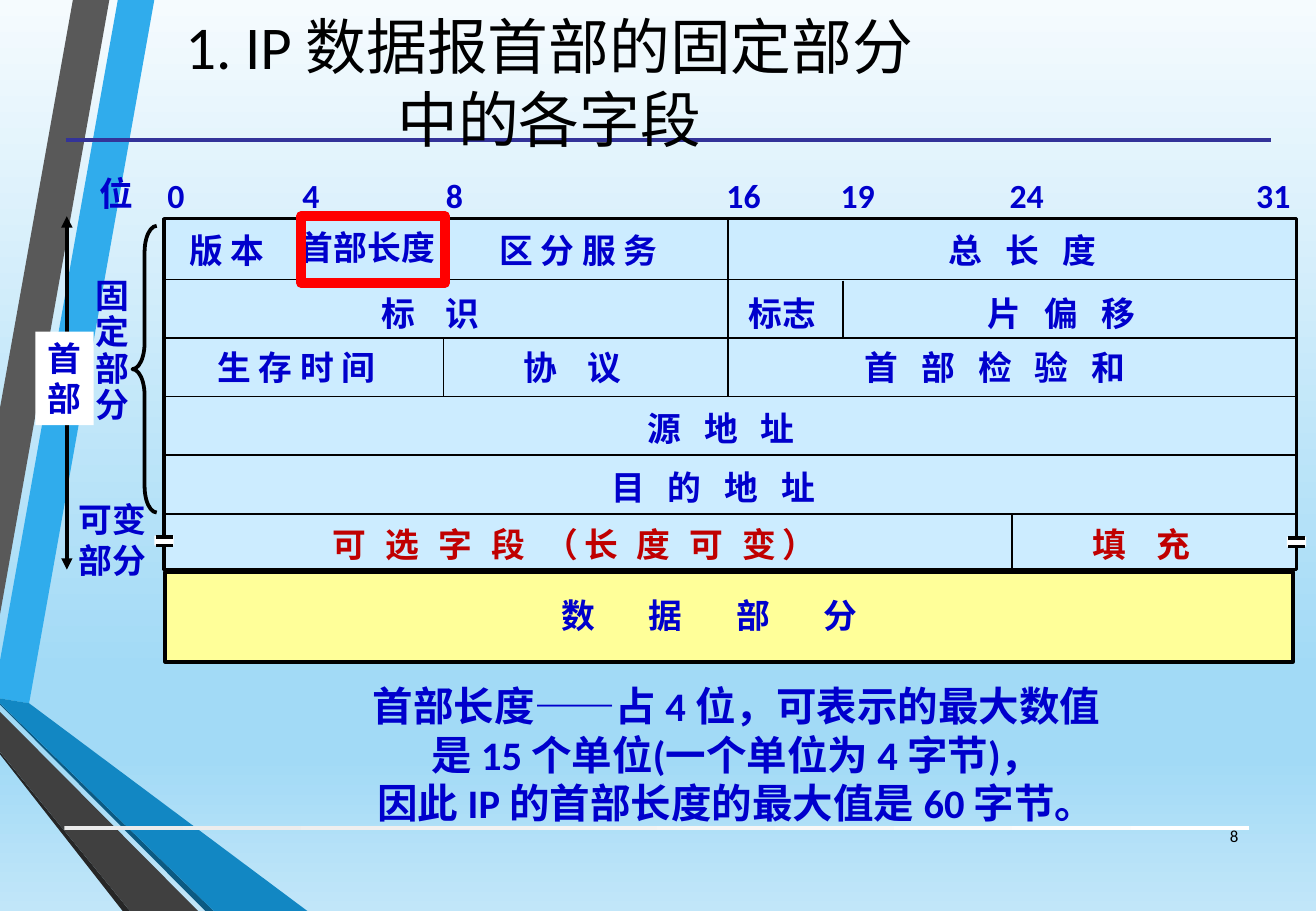
import pptx
import pptx.util
import pptx.oxml
import pptx.oxml.ns
import pptx.dml.color
import pptx.enum.shapes
import pptx.enum.text

RGBColor = pptx.dml.color.RGBColor
Inches = pptx.util.Inches
Pt = pptx.util.Pt
qn = pptx.oxml.ns.qn
SHAPE = pptx.enum.shapes.MSO_SHAPE
ALIGN = pptx.enum.text.PP_ALIGN
ANCHOR = pptx.enum.text.MSO_ANCHOR

BLACK = RGBColor(0x00, 0x00, 0x00)
WHITE = RGBColor(0xFF, 0xFF, 0xFF)
BLUE = RGBColor(0x00, 0x00, 0xCC)
CRIMSON = RGBColor(0xC0, 0x00, 0x00)
RED = RGBColor(0xFF, 0x00, 0x00)
NAVY = RGBColor(0x33, 0x33, 0x99)
PALE = RGBColor(0xCC, 0xEC, 0xFF)
YELLOW = RGBColor(0xFF, 0xFF, 0x99)

SKY = [(0, "F5FBFE"), (74, "A2DAF6"), (83, "A2DAF6"), (100, "C1E6F9")]
SILVER = [(0, "EBEBEB"), (100, "FFFFFF")]

RIBBONS = [
    (RGBColor(0x30, 0xAC, 0xEC),
     [(0, 5.44), (0, 5.75), (0.24, 5.79), (1.27, 0), (0.97, 0)]),
    (RGBColor(0x59, 0x59, 0x59),
     [(0.9, 0), (0.6, 0), (0, 3.36), (0, 5.06)]),
    (RGBColor(0x26, 0x26, 0x26),
     [(0, 6.19), (0, 6.21), (1.01, 7.5), (1.07, 7.5)]),
    (RGBColor(0x0C, 0x5A, 0x82),
     [(0, 5.79), (0, 5.8), (1.69, 7.5), (1.76, 7.5)]),
    (RGBColor(0x12, 0x87, 0xC3),
     [(0, 5.79), (1.76, 7.5), (2.53, 7.5), (0.24, 5.79), (0, 5.75)]),
    (RGBColor(0x40, 0x40, 0x40),
     [(0, 6.19), (1.07, 7.5), (1.63, 7.5), (0, 5.86)]),
]

LEFT, RIGHT = 1.34, 10.68
ROWS = [2.3 + 0.4825 * i for i in range(5)]
SPLITS = [(2.49, 1.81, 2.3), (3.65, 1.81, 2.3), (3.65, 2.79, 3.26),
          (5.99, 1.81, 3.26), (8.33, 4.23, 4.71), (6.94, 2.31, 2.78)]
BITS = [("0", 1.28), ("4", 2.39), ("8", 3.57), ("16", 5.88),
        ("19", 6.82), ("24", 8.21), ("31", 10.24)]

# text, left, top, width, letter spacing in points, colour
FIELDS = [
    ("位", 0.72, 1.37, 0.48, 0, BLUE),
    ("版 本", 1.46, 1.84, 0.84, 0, BLUE),
    ("首部长度", 2.37, 1.82, 1.32, 0, BLUE),
    ("区 分 服 务", 4.01, 1.84, 1.56, 0, BLUE),
    ("总 长 度", 7.71, 1.84, 1.51, 4.5, BLUE),
    ("标 识", 3.04, 2.36, 1.07, 6.8, BLUE),
    ("标志", 6.06, 2.36, 0.76, 0, BLUE),
    ("片 偏 移", 8.03, 2.36, 1.51, 4.5, BLUE),
    ("生 存 时 间", 1.69, 2.81, 1.56, 0, BLUE),
    ("协 议", 4.21, 2.81, 1.07, 6.8, BLUE),
    ("首 部 检 验 和", 7.02, 2.81, 2.54, 4.5, BLUE),
    ("源 地 址", 5.23, 3.31, 1.51, 4.5, BLUE),
    ("目 的 地 址", 4.93, 3.79, 2.02, 4.5, BLUE),
    ("可 选 字 段 （长 度 可 变）", 2.64, 4.26, 4.56, 3.4, CRIMSON),
    ("填 充", 8.89, 4.26, 1.07, 6.8, CRIMSON),
    ("数 据 部 分", 4.52, 4.85, 3.45, 13.6, BLUE),
]


def blend(fill, root, stops, angle):
    """Give fill, found below root, a gradient with any number of stops."""
    fill.gradient()
    fill.gradient_angle = angle
    group = root.find(".//" + qn("a:gsLst"))
    for stop in list(group):
        group.remove(stop)
    for place, tone in stops:
        stop = pptx.oxml.parse_xml(
            f'<a:gs {pptx.oxml.ns.nsdecls("a")} pos="{place * 1000}">'
            f'<a:srgbClr val="{tone}"/></a:gs>')
        group.append(stop)


def paint(shape, fill=None, line=None, weight=1):
    shape.shadow.inherit = False
    if fill is None:
        shape.fill.background()
    else:
        shape.fill.solid()
        shape.fill.fore_color.rgb = fill
    if line is None:
        shape.line.fill.background()
    else:
        shape.line.color.rgb = line
        shape.line.width = Pt(weight)


def block(slide, box, fill=None, line=None, weight=1, kind=SHAPE.RECTANGLE):
    shape = slide.shapes.add_shape(kind, *map(Inches, box))
    paint(shape, fill, line, weight)
    return shape


def ribbon(slide, fill, points):
    points = [(Inches(x), Inches(y)) for x, y in points]
    path = slide.shapes.build_freeform(*points[0])
    path.add_line_segments(points[1:], close=True)
    paint(path.convert_to_shape(), fill)


def rule(slide, ends, color=BLACK, weight=1, arrows=False):
    line = slide.shapes.add_connector(
        pptx.enum.shapes.MSO_CONNECTOR.STRAIGHT, *map(Inches, ends))
    line.line.color.rgb = color
    line.line.width = Pt(weight)
    if arrows:
        stroke = line.line._get_or_add_ln()
        for end in ("a:headEnd", "a:tailEnd"):
            pptx.oxml.ns.qn(end)
            tip = stroke.makeelement(qn(end), {"type": "triangle"})
            stroke.append(tip)
    props = line._element.spPr
    props.append(props.makeelement(qn("a:effectLst"), {}))


def label(slide, box, lines, size=20, color=BLUE, bold=True, align=ALIGN.LEFT,
          wrap=False, anchor=ANCHOR.TOP, space=0, pitch=None):
    """Write one paragraph per line; space is the gap between letters."""
    shape = slide.shapes.add_textbox(*map(Inches, box))
    frame = shape.text_frame
    frame.word_wrap = wrap
    frame.vertical_anchor = anchor
    for i, line in enumerate(lines):
        para = frame.add_paragraph() if i else frame.paragraphs[0]
        para.text = line
        para.alignment = align
        if pitch:
            para.line_spacing = pitch
        for run in para.runs:
            font = run.font
            font.name, font.size, font.bold = "Calibri", Pt(size), bold
            font.color.rgb = color
            if space:
                run._r.get_or_add_rPr().set("spc", str(round(space * 100)))
    return shape


def gap(slide, left, top):
    """Mark a break in the side of the header."""
    block(slide, (left, top, 0.16, 0.08), WHITE)
    for y in (top + 0.01, top + 0.08):
        rule(slide, (left + 0.01, y, left + 0.15, y), weight=2)


def scene(slide):
    blend(slide.background.fill, slide.element, SKY, 270)
    for fill, points in RIBBONS:
        ribbon(slide, fill, points)
    bar = block(slide, (0.53, 6.8, 9.75, 0.03))
    blend(bar.fill, bar._element, SILVER, 0)
    rule(slide, (0.54, 1.15, 10.46, 1.15), NAVY, 2.25)


def header(slide):
    block(slide, (1.35, 1.8, 9.32, 2.89), PALE, BLACK, 2)
    block(slide, (1.36, 4.71, 9.28, 0.74), YELLOW, BLACK, 2.25)
    for y in ROWS:
        rule(slide, (LEFT, y, RIGHT, y))
    for x, top, base in SPLITS:
        rule(slide, (x, top, x, base))
    for bit, left in BITS:
        label(slide, (left, 1.39, 0.28 + 0.14 * len(bit), 0.43), [bit])
    for text, left, top, width, space, color in FIELDS:
        label(slide, (left, top, width, 0.43), [text], color=color, space=space)
    gap(slide, 1.27, 4.41)
    gap(slide, 10.59, 4.42)


def margin(slide):
    label(slide, (0.69, 2.25, 0.48, 1.31), "固定部分", pitch=0.9)
    label(slide, (0.55, 4.06, 0.76, 0.77), ["可变", "部分"])
    rule(slide, (0.55, 1.78, 0.55, 4.69), weight=2.25, arrows=True)
    whole = label(slide, (0.29, 2.73, 0.48, 0.77), "首部")
    whole.fill.solid()
    whole.fill.fore_color.rgb = WHITE
    brace = block(slide, (1.09, 1.86, 0.2, 2.36), line=BLACK, weight=2.25,
                  kind=SHAPE.LEFT_BRACE)
    brace.adjustments[0] = 1.08


def main():
    deck = pptx.Presentation()
    deck.slide_width, deck.slide_height = Inches(10.83), Inches(7.5)
    slide = deck.slides.add_slide(deck.slide_layouts[6])
    scene(slide)
    header(slide)
    margin(slide)
    label(slide, (1.79, 5.56, 8.54, 1.25),
          ["首部长度——占 4 位，可表示的最大数值",
           "是 15 个单位(一个单位为 4 字节)，",
           "因此 IP 的首部长度的最大值是 60 字节。"],
          size=24, align=ALIGN.CENTER, wrap=True)
    block(slide, (2.48, 1.78, 1.18, 0.55), line=RED, weight=6)
    label(slide, (0.43, 0.05, 8.18, 1.24), ["1. IP 数据报首部的固定部分\n中的各字段"],
          size=36, color=BLACK, bold=False, align=ALIGN.CENTER, wrap=True,
          anchor=ANCHOR.MIDDLE)
    label(slide, (9.78, 6.68, 0.51, 0.4), ["8"], size=10, color=BLACK,
          bold=False, align=ALIGN.RIGHT, wrap=True, anchor=ANCHOR.MIDDLE)
    deck.save("out.pptx")


if __name__ == "__main__":
    main()
